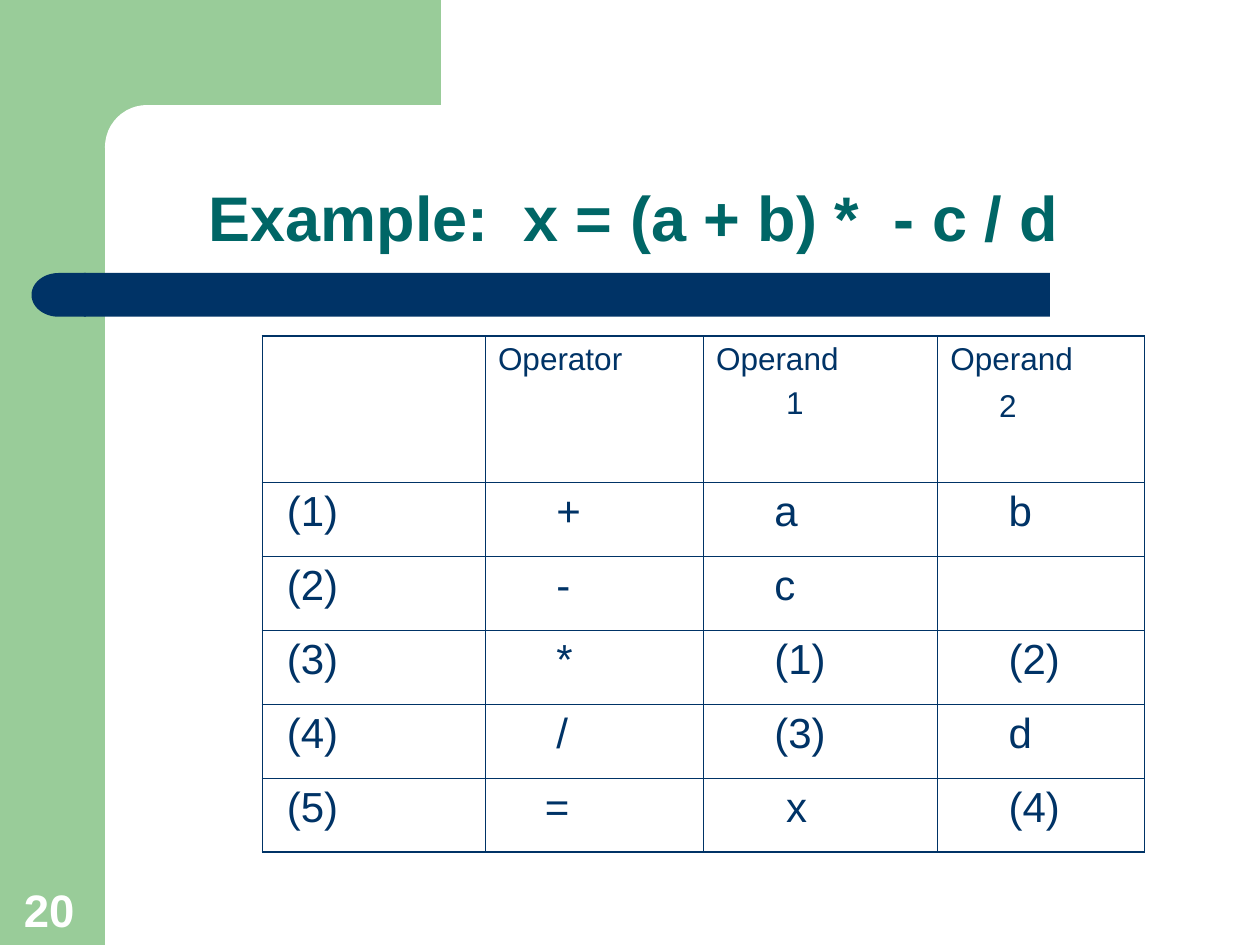
from lxml.etree import SubElement
from pptx import Presentation
from pptx.dml.color import RGBColor
from pptx.enum.shapes import MSO_SHAPE as Shape
from pptx.enum.text import MSO_ANCHOR as Anchor, MSO_AUTO_SIZE as AutoSize, PP_ALIGN as Align
from pptx.oxml.ns import qn
from pptx.util import Pt

COLORS = {"green": "99CC99", "white": "FFFFFF", "navy": "003366", "teal": "006666"}
FONT = "Arial"
INNER_LINE, OUTER_LINE = 0.45, 1.08

COLUMN_WIDTHS = [127.4, 124.6, 133.9, 118.1]
HEADER_HEIGHT, ROW_HEIGHT = 83.5, 42.3
OPERATOR_COLUMNS = ["", "Operator", "Operand", "Operand"]
# Second header line by column: text, indent, space before
OPERAND_NUMBERS = {2: ("1", 40, 4.5), 3: ("2", 27.8, 6.3)}
TRIPLES = [
    ["(1)", "+", "a", "b"],
    ["(2)", "-", "c", ""],
    ["(3)", "*", "(1)", "(2)"],
    ["(4)", "/", "(3)", "d"],
    ["(5)", "=", "x", "(4)"],
]
INDENTS = [6.7, 33.3, 33.3, 33.3]
LAST_ROW_INDENTS = [6.7, 26.7, 40, 33.3]


def color(name):
    return RGBColor.from_string(COLORS[name])


def add_block(page, kind, left, top, width, height, fill):
    block = page.shapes.add_shape(kind, Pt(left), Pt(top), Pt(width), Pt(height))
    block.shadow.inherit = False
    block.fill.solid()
    block.fill.fore_color.rgb = color(fill)
    block.line.fill.background()
    return block


def write(para, text, size, fill, bold=False, indent=0, before=0):
    para.text = text
    if indent:
        props = para._p.get_or_add_pPr()
        props.set("marL", str(Pt(indent)))
        props.set("indent", "0")
    para.alignment = Align.LEFT
    para.space_before = Pt(before)
    font = para.font
    font.name, font.size, font.bold = FONT, Pt(size), bold
    font.color.rgb = color(fill)


def set_borders(cell, widths):
    props = cell._tc.get_or_add_tcPr()
    for side, width in zip("LRTB", widths):
        line = SubElement(props, qn(f"a:ln{side}"), w=str(Pt(width)))
        fill = SubElement(line, qn("a:solidFill"))
        SubElement(fill, qn("a:srgbClr"), val=COLORS["navy"])


def add_background(page):
    add_block(page, Shape.RECTANGLE, 0, 0, 60, 540, "green")
    add_block(page, Shape.RECTANGLE, 54, 0, 198, 84, "green")
    panel = add_block(page, Shape.ROUNDED_RECTANGLE, 60, 60, 402, 48, "white")
    panel.adjustments[0] = 0.5
    # Title bar with a rounded left end
    add_block(page, Shape.RECTANGLE, 48, 156, 552, 25, "navy")
    cap = add_block(page, Shape.FLOWCHART_DELAY, 18, 156, 31, 25, "navy")
    cap.rotation = 180


def add_page_number(page, number):
    box = page.shapes.add_textbox(Pt(6.5), Pt(499.7), Pt(46), Pt(38.9))
    frame = box.text_frame
    frame.word_wrap = True
    frame.vertical_anchor = Anchor.BOTTOM
    write(frame.paragraphs[0], number, 26, "white", bold=True)


def add_title(page, text):
    title = page.shapes.title
    title.left, title.top, title.width, title.height = Pt(72), Pt(102), Pt(630), Pt(90)
    frame = title.text_frame
    frame.auto_size = AutoSize.NONE
    frame.word_wrap = True
    frame.vertical_anchor = Anchor.BOTTOM
    frame.margin_bottom = Pt(46)
    para = frame.paragraphs[0]
    write(para, text, 36, "teal", bold=True, indent=40)
    para.line_spacing = 0.9
    # Bring the title in front of the background
    page.shapes._spTree.append(title._element)


def add_triples_table(page):
    rows = [OPERATOR_COLUMNS] + TRIPLES
    last_row, last_column = len(rows) - 1, len(COLUMN_WIDTHS) - 1
    height = HEADER_HEIGHT + ROW_HEIGHT * len(TRIPLES)
    table = page.shapes.add_table(len(rows), len(COLUMN_WIDTHS), Pt(150), Pt(192),
                                  Pt(sum(COLUMN_WIDTHS)), Pt(height)).table
    table.first_row = table.horz_banding = False
    for column, width in zip(table.columns, COLUMN_WIDTHS):
        column.width = Pt(width)

    for r, values in enumerate(rows):
        table.rows[r].height = Pt(ROW_HEIGHT if r else HEADER_HEIGHT)
        indents = LAST_ROW_INDENTS if r == last_row else INDENTS
        for c, value in enumerate(values):
            cell = table.cell(r, c)
            edges = (c == 0, c == last_column, r == 0, r == last_row)
            set_borders(cell, [OUTER_LINE if edge else INNER_LINE for edge in edges])
            cell.fill.background()
            if value:
                write(cell.text_frame.paragraphs[0], value, 24 if r else 18, "navy",
                      indent=indents[c] if r else 0)

    # Operand numbers under the header words
    for c, (number, indent, before) in OPERAND_NUMBERS.items():
        para = table.cell(0, c).text_frame.add_paragraph()
        write(para, number, 18, "navy", indent=indent, before=before)


def main():
    deck = Presentation()
    deck.slide_width, deck.slide_height = Pt(720), Pt(540)
    page = deck.slides.add_slide(deck.slide_layouts[5])
    add_background(page)
    add_page_number(page, "20")
    add_title(page, "Example:  x = (a + b) *  - c / d")
    add_triples_table(page)
    deck.save("out.pptx")


if __name__ == "__main__":
    main()
